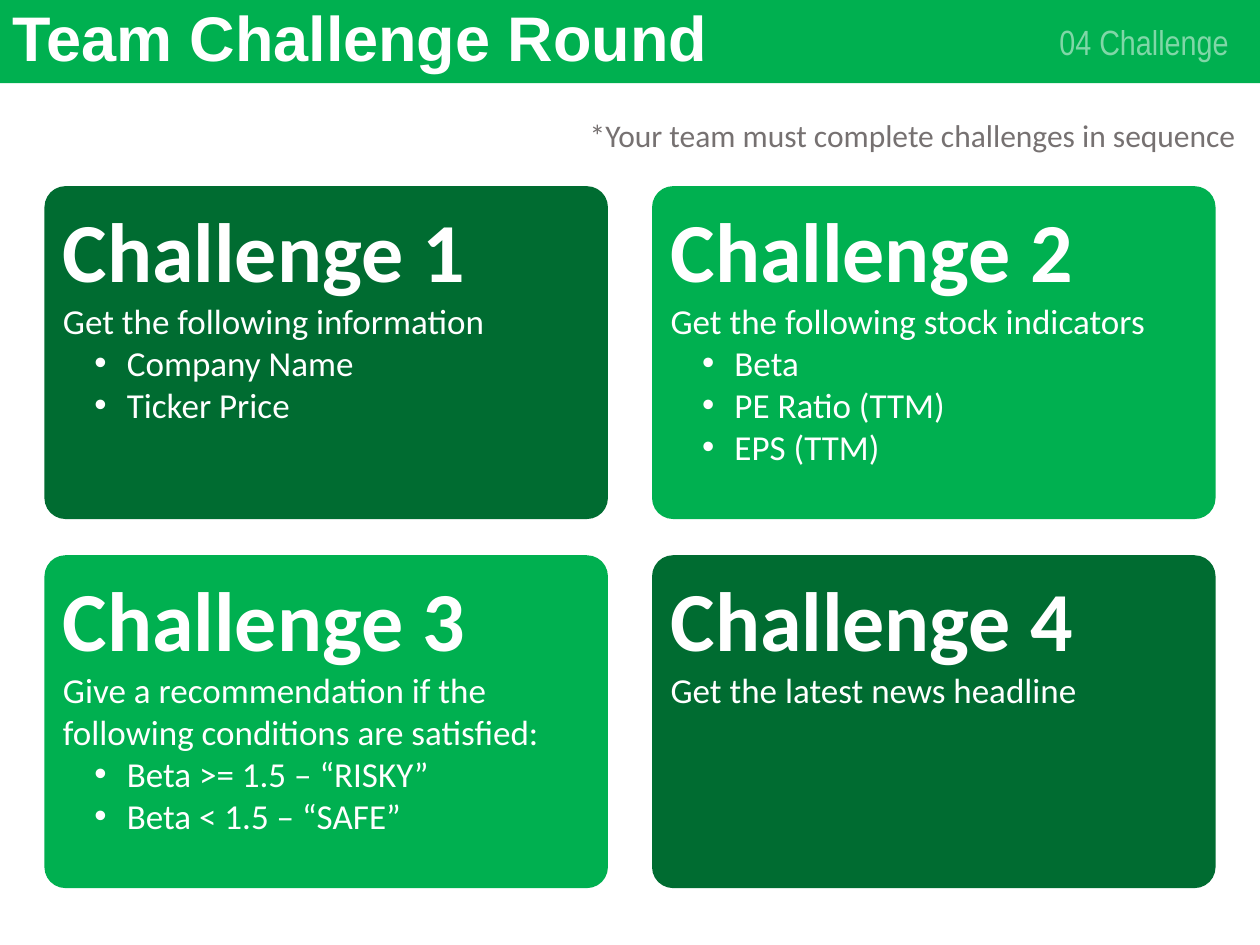
"""Build the Team Challenge Round slide with four challenge cards."""
from dataclasses import dataclass

from lxml.etree import SubElement
from pptx import Presentation
from pptx.dml.color import RGBColor
from pptx.enum.shapes import MSO_SHAPE
from pptx.enum.text import MSO_ANCHOR, PP_ALIGN
from pptx.oxml.ns import qn
from pptx.util import Pt


@dataclass(frozen=True)
class Theme:
    green: str = "00B050"
    dark: str = "006C31"
    white: str = "FFFFFF"
    gray: str = "767171"
    title: int = 36
    head: int = 48
    body: int = 20
    note: int = 18


theme = Theme()


def style(para, size, color=theme.white, face="Calibri", bold=False):
    font = para.font
    font.name, font.size, font.bold = face, Pt(size), bold
    font.color.rgb = RGBColor.from_string(color)


def block(kind, left, top, width, height, color):
    shape = slide.shapes.add_shape(kind, Pt(left), Pt(top), Pt(width), Pt(height))
    shape.shadow.inherit = False
    shape.fill.solid()
    shape.fill.fore_color.rgb = RGBColor.from_string(color)
    shape.line.fill.background()
    return shape


deck = Presentation()
deck.slide_width, deck.slide_height = Pt(720), Pt(540)
slide = deck.slides.add_slide(deck.slide_layouts[6])

block(MSO_SHAPE.RECTANGLE, 0, 0, 720, 47.5, theme.green)

tag = slide.shapes.add_textbox(Pt(558.7), Pt(9.4), Pt(150.5), Pt(28.8)).text_frame
tag.word_wrap = True
tag.vertical_anchor = MSO_ANCHOR.MIDDLE
para = tag.paragraphs[0]
para.text = "04 Challenge"
para.alignment = PP_ALIGN.RIGHT
style(para, theme.body, face="Arial Narrow")
tint = para.font._element.find(".//" + qn("a:srgbClr"))
SubElement(tint, qn("a:alpha"), val="50000")

title = slide.shapes.add_textbox(Pt(0), Pt(0), Pt(620.6), Pt(47.5)).text_frame
title.word_wrap = True
title.vertical_anchor = MSO_ANCHOR.MIDDLE
para = title.paragraphs[0]
para.text = "Team Challenge Round"
para.line_spacing = 0.9
style(para, theme.title, face="Arial", bold=True)

note = slide.shapes.add_textbox(Pt(329.8), Pt(62.6), Pt(390.2), Pt(29)).text_frame
note.word_wrap = False
para = note.paragraphs[0]
para.text = "*Your team must complete challenges in sequence"
style(para, theme.note, theme.gray)

cards = [
    ("Get the following information", ["Company Name", "Ticker Price"]),
    ("Get the following stock indicators", ["Beta", "PE Ratio (TTM)", "EPS (TTM)"]),
    ("Give a recommendation if the following conditions are satisfied:",
     ["Beta >= 1.5 – “RISKY”", "Beta < 1.5 – “SAFE”"]),
    ("Get the latest news headline", []),
]
for num, (task, items) in enumerate(cards):
    row, col = divmod(num, 2)
    color = theme.dark if row == col else theme.green
    card = block(MSO_SHAPE.ROUNDED_RECTANGLE, 25.4 + 347.2 * col,
                 106.4 + 210.9 * row, 322, 190.2, color)
    card.adjustments[0] = 0.063
    frame = card.text_frame
    frame.word_wrap = True
    frame.vertical_anchor = MSO_ANCHOR.TOP
    para = frame.paragraphs[0]
    para.text = f"Challenge {num + 1}"
    para.alignment = PP_ALIGN.LEFT
    style(para, theme.head, bold=True)
    for spot, text in enumerate([task, *items]):
        para = frame.add_paragraph()
        para.text = text
        para.level = 1
        para.alignment = PP_ALIGN.LEFT
        props = para._p.get_or_add_pPr()
        props.set("marL", str(Pt(36.5) if spot else 0))
        props.set("indent", str(Pt(-18.5) if spot else 0))
        if spot:
            SubElement(props, qn("a:buFont"), typeface="Arial")
            SubElement(props, qn("a:buChar"), char="•")
        style(para, theme.body)

deck.save("out.pptx")
